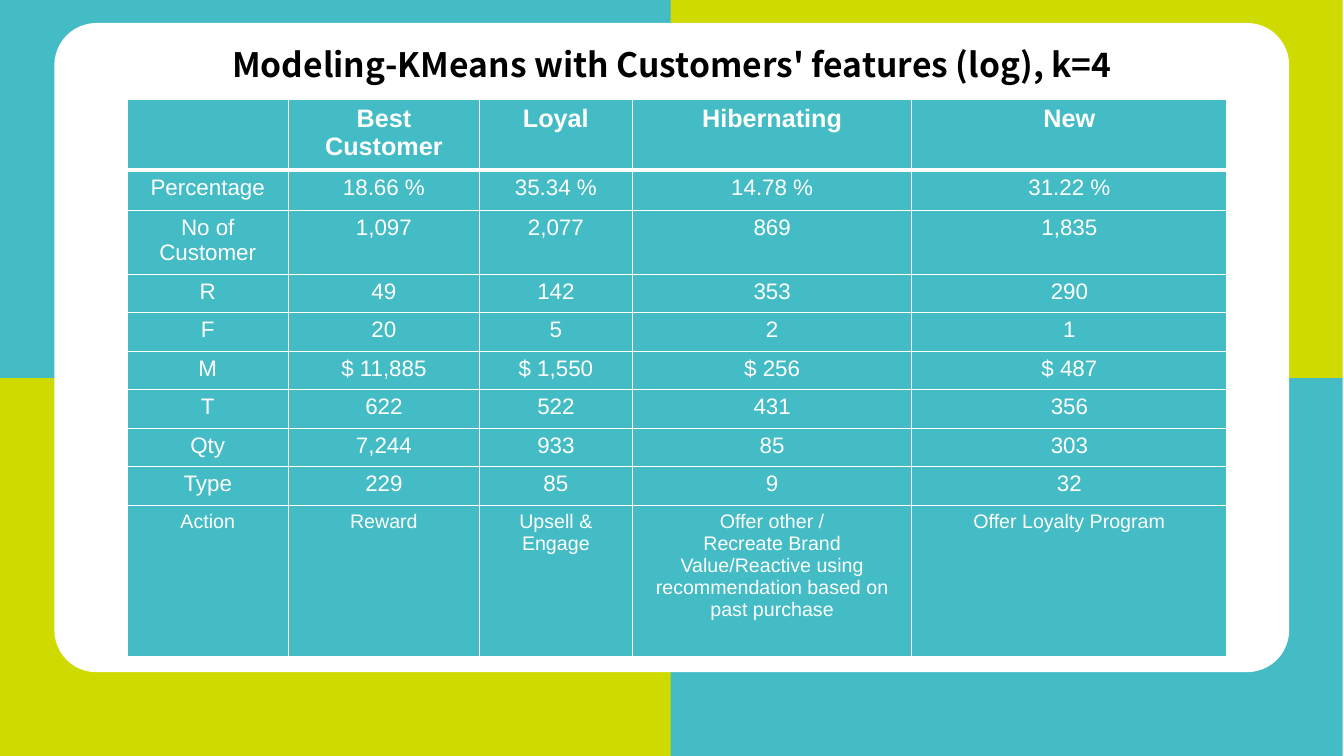
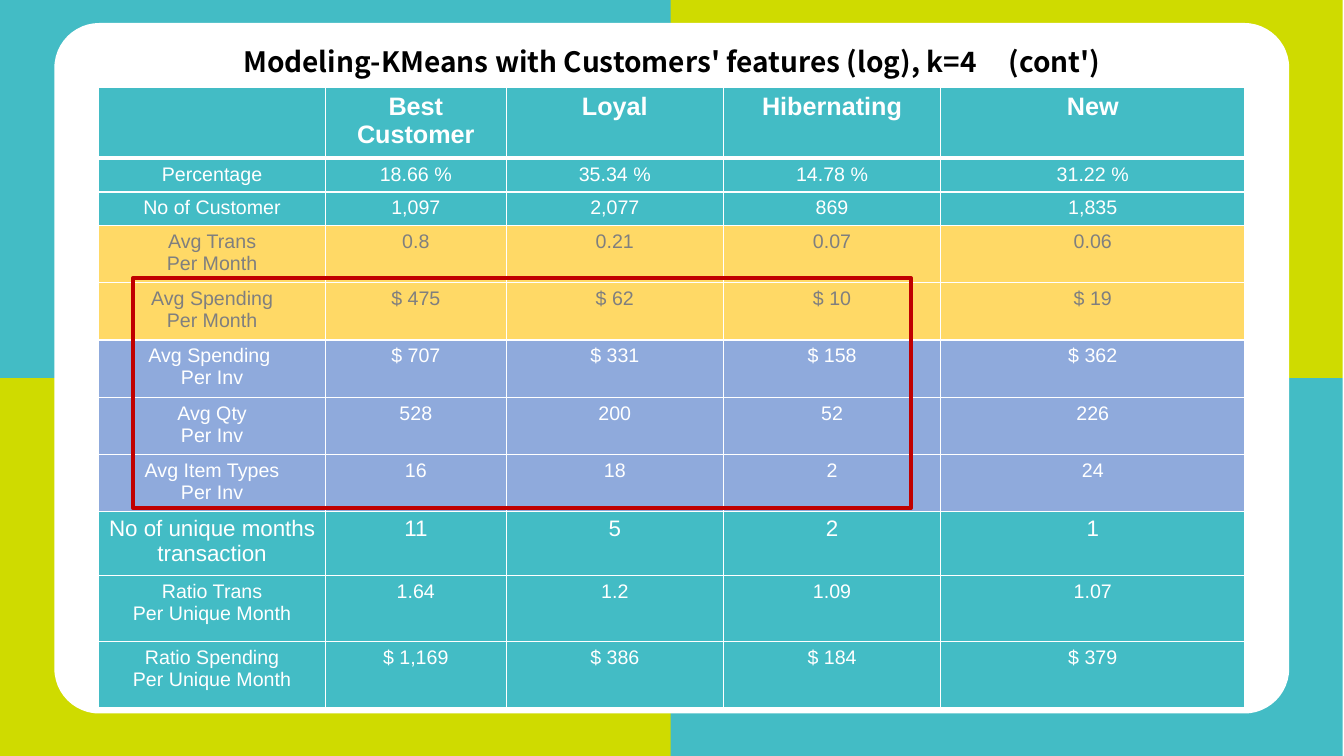
from typing import NamedTuple

from lxml.etree import SubElement
from pptx import Presentation
from pptx.dml.color import RGBColor
from pptx.enum.shapes import MSO_SHAPE as Shape
from pptx.enum.text import MSO_AUTO_SIZE as AutoSize, PP_ALIGN as Align
from pptx.oxml.ns import qn
from pptx.util import Cm, Pt

TEAL = RGBColor(0x43, 0xBC, 0xC5)
LIME = RGBColor(0xCF, 0xDB, 0x00)
YELLOW = RGBColor(0xFF, 0xD9, 0x66)
BLUE = RGBColor(0x8F, 0xAA, 0xDC)
RED = RGBColor(0xC0, 0x00, 0x00)
GRAY = RGBColor(0x7F, 0x7F, 0x7F)
WHITE = RGBColor(0xFF, 0xFF, 0xFF)
BLACK = RGBColor(0x00, 0x00, 0x00)

TITLE_FONT = "Noto Sans CJK SC"
TABLE_FONT = "Arial"
TITLE = "Modeling-KMeans with Customers' features (log), k=4"


class Row(NamedTuple):
    height: float
    size: int
    texts: tuple
    fill: RGBColor = TEAL
    ink: RGBColor = WHITE


def header(height):
    return Row(height, 18, ("", "Best Customer", "Loyal", "Hibernating", "New"))


def plain(size, height, *texts):
    return Row(height, size, texts)


def monthly(*texts):
    return Row(1.44, 14, texts, YELLOW, GRAY)


def per_invoice(*texts):
    return Row(1.44, 14, texts, BLUE)


SHARE = ("Percentage", "18.66 %", "35.34 %", "14.78 %", "31.22 %")
COUNT = ("No of Customer", "1,097", "2,077", "869", "1,835")

FEATURE_COLUMNS = (4.07, 4.81, 3.86, 7.04, 7.94)
FEATURE_ROWS = (
    header(1.78),
    plain(16, 1.01, *SHARE),
    plain(16, 1.61, *COUNT),
    plain(16, 0.97, "R", "49", "142", "353", "290"),
    plain(16, 0.97, "F", "20", "5", "2", "1"),
    plain(16, 0.97, "M", "$ 11,885", "$ 1,550", "$ 256", "$ 487"),
    plain(16, 0.97, "T", "622", "522", "431", "356"),
    plain(16, 0.97, "Qty", "7,244", "933", "85", "303"),
    plain(16, 0.97, "Type", "229", "85", "9", "32"),
    plain(14, 3.81, "Action", "Reward", "Upsell & Engage",
          "Offer other /\nRecreate Brand Value/Reactive using "
          "recommendation based on past purchase",
          "Offer Loyalty Program"),
)

AVERAGE_COLUMNS = (5.71, 4.56, 5.47, 5.48, 7.66)
AVERAGE_ROWS = (
    header(1.77),
    plain(14, 0.84, *SHARE),
    plain(14, 0.84, *COUNT),
    monthly("Avg Trans\nPer Month", "0.8", "0.21", "0.07", "0.06"),
    monthly("Avg Spending\nPer Month", "$ 475", "$ 62", "$ 10", "$ 19"),
    per_invoice("Avg Spending \nPer Inv", "$ 707", "$ 331", "$ 158", "$ 362"),
    per_invoice("Avg Qty\nPer Inv", "528", "200", "52", "226"),
    per_invoice("Avg Item Types\nPer Inv", "16", "18", "2", "24"),
    plain(16, 1.61, "No of unique months transaction", "11", "5", "2", "1"),
    plain(14, 1.67, "Ratio Trans\nPer Unique Month", "1.64", "1.2", "1.09", "1.07"),
    plain(14, 1.67, "Ratio Spending\nPer Unique Month",
          "$ 1,169", "$ 386", "$ 184", "$ 379"),
)


def style(para, font_name, size, ink, bold):
    para.alignment = Align.CENTER
    font = para.font
    font.name, font.size, font.bold = font_name, Pt(size), bold
    font.color.rgb = ink


def draw_borders(cell, top, bottom):
    """Give a cell white borders; top and bottom are widths in points."""
    properties = cell._tc.get_or_add_tcPr()
    for side, width in (("L", 1), ("R", 1), ("T", top), ("B", bottom)):
        line = SubElement(properties, qn(f"a:ln{side}"), w=str(Pt(width)))
        SubElement(SubElement(line, qn("a:solidFill")), qn("a:srgbClr"), val=str(WHITE))


class Deck:
    """The presentation, its shared style and the current page."""

    def __init__(self):
        self.file = Presentation()
        self.file.slide_width, self.file.slide_height = Cm(33.87), Cm(19.05)
        self.page = None

    def add_page(self, card_height):
        self.page = self.file.slides.add_slide(self.file.slide_layouts[6])
        width, height = 16.94, 9.525
        for column, left in enumerate((-0.02, 16.9)):
            for row in range(2):
                fill = TEAL if row == column else LIME
                self.add_box(Shape.RECTANGLE, left, row * height, width, height, fill)
        card = self.add_box(Shape.ROUNDED_RECTANGLE, 1.37, 0.58, 31.12, card_height, WHITE)
        card.adjustments[0] = 0.065

    def add_box(self, kind, left, top, width, height, fill=None, line=None):
        box = self.page.shapes.add_shape(kind, Cm(left), Cm(top), Cm(width), Cm(height))
        box.shadow.inherit = False
        if fill is None:
            box.fill.background()
        else:
            box.fill.solid()
            box.fill.fore_color.rgb = fill
        if line is None:
            box.line.fill.background()
        else:
            box.line.color.rgb = line
            box.line.width = Pt(3)
        return box

    def add_title(self, size, height, suffix=""):
        box = self.page.shapes.add_textbox(Cm(3.86), Cm(0.99), Cm(26.14), Cm(height))
        frame = box.text_frame
        frame.word_wrap = True
        frame.auto_size = AutoSize.SHAPE_TO_FIT_TEXT
        para = frame.paragraphs[0]
        style(para, TITLE_FONT, size, BLACK, True)
        para.add_run().text = TITLE
        if suffix:
            gap = para.add_run()
            gap.text = " "
            gap._r.get_or_add_rPr().set("spc", "1800")
            para.add_run().text = suffix

    def add_table(self, left, top, columns, rows):
        height = sum(row.height for row in rows)
        table = self.page.shapes.add_table(
            len(rows), len(columns), Cm(left), Cm(top), Cm(sum(columns)), Cm(height)).table
        table.horz_banding = False
        for column, width in zip(table.columns, columns):
            column.width = Cm(width)
        for index, row in enumerate(rows):
            table.rows[index].height = Cm(row.height)
            for cell, text in zip(table.rows[index].cells, row.texts):
                draw_borders(cell, 3 if index == 1 else 1, 3 if index == 0 else 1)
                cell.fill.solid()
                cell.fill.fore_color.rgb = row.fill
                cell.text = text
                for para in cell.text_frame.paragraphs:
                    style(para, TABLE_FONT, row.size, row.ink, index == 0)

    def add_highlight(self, left, top, width, height):
        self.add_box(Shape.RECTANGLE, left, top, width, height, line=RED)

    def save(self):
        self.file.save("out.pptx")


def main():
    deck = Deck()

    deck.add_page(card_height=16.36)
    deck.add_title(24, 1.27)
    deck.add_table(3.2, 2.51, FEATURE_COLUMNS, FEATURE_ROWS)

    deck.add_page(card_height=17.4)
    deck.add_title(20, 1.12, "(cont')")
    deck.add_table(2.49, 2.21, AVERAGE_COLUMNS, AVERAGE_ROWS)
    deck.add_highlight(3.35, 7.01, 19.61, 5.79)

    deck.save()


if __name__ == "__main__":
    main()
